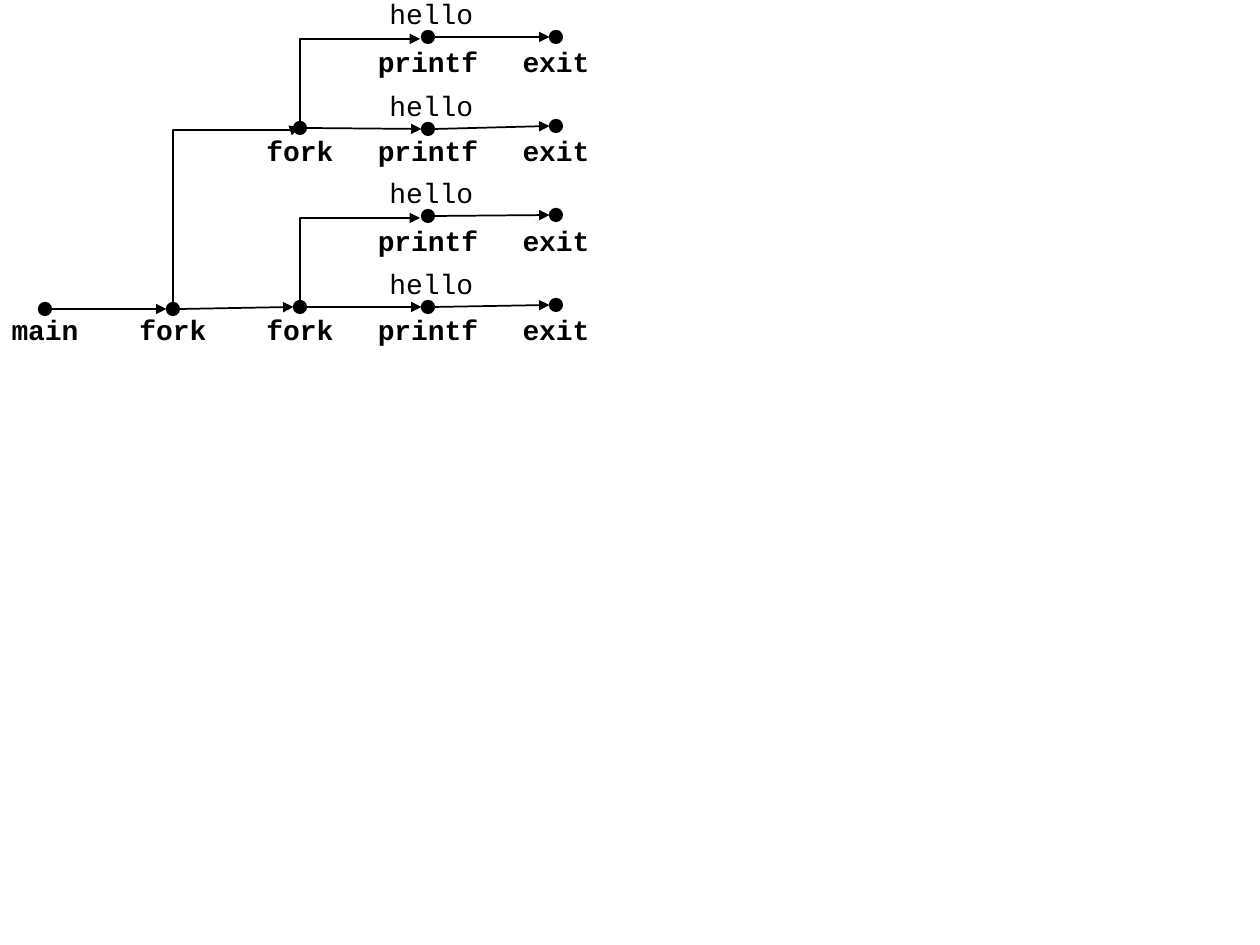
"""Build a process graph of two successive forks, each process printing hello."""
from lxml import etree
from pptx import Presentation
from pptx import util as u
from pptx.dml.color import RGBColor
from pptx.enum import shapes, text
from pptx.oxml.ns import qn

SCALE = 914400 / 126
COLOURS = {"ink": "000000"}
FONT = "Courier New"
COLUMN_X = [45, 173, 300, 428, 556]
DOT = 13
LABEL_HEIGHT = 47
LABEL_WIDTH = {"main": 93, "fork": 92, "printf": 131, "exit": 131}

PROCESSES = [
    {"label_top": 38, "hello_top": -10, "first": 3,
     "calls": [("printf", 37), ("exit", 37)]},
    {"label_top": 127, "hello_top": 82, "first": 2,
     "calls": [("fork", 128), ("printf", 129), ("exit", 126)]},
    {"label_top": 217, "hello_top": 169, "first": 3,
     "calls": [("printf", 216), ("exit", 215)]},
    {"label_top": 306, "hello_top": 260, "first": 0,
     "calls": [("main", 309), ("fork", 309), ("fork", 307),
               ("printf", 307), ("exit", 305)]},
]
CHILDREN = [
    ("bentConnector2", (300, 306), (420, 218), None),
    ("bentConnector3", (173, 307), (300, 127), 98500),
    ("bentConnector2", (300, 127), (420, 39), None),
]


def px(length):
    return u.Emu(round(length * SCALE))


def ink():
    return RGBColor.from_string(COLOURS["ink"])


def add_text(slide, words, left, top, width, bold=False, align=None, wrap=True):
    box = slide.shapes.add_textbox(px(left), px(top), px(width), px(LABEL_HEIGHT))
    box.text_frame.word_wrap = wrap
    paragraph = box.text_frame.paragraphs[0]
    paragraph.alignment = align
    run = paragraph.add_run()
    run.text = words
    run.font.name, run.font.size, run.font.bold = FONT, u.Pt(16), bold
    run.font.color.rgb = ink()


def add_dot(slide, x, y):
    dot = slide.shapes.add_shape(shapes.MSO_SHAPE.OVAL, px(x - DOT / 2),
                                 px(y - DOT / 2), px(DOT), px(DOT))
    dot.shadow.inherit = False
    dot.fill.solid()
    dot.fill.fore_color.rgb = ink()
    dot.line.color.rgb = ink()
    dot.line.width = u.Pt(0.75)


def add_arrow(slide, kind, start, end):
    arrow = slide.shapes.add_connector(kind, *map(px, start + end))
    arrow.line.color.rgb = ink()
    arrow.line.width = u.Pt(1)
    properties = arrow._element.spPr
    etree.SubElement(properties.find(qn("a:ln")), qn("a:tailEnd"), type="triangle")
    etree.SubElement(properties, qn("a:effectLst"))
    return arrow


def add_child_arrow(slide, preset, start, end, bend):
    """Turn an elbow a quarter so that it rises first, then runs right."""
    middle_x, middle_y = (start[0] + end[0]) / 2, (start[1] + end[1]) / 2
    half_w, half_h = (start[1] - end[1]) / 2, (end[0] - start[0]) / 2
    arrow = add_arrow(slide, shapes.MSO_CONNECTOR.ELBOW,
                      (middle_x - half_w, middle_y - half_h),
                      (middle_x + half_w, middle_y + half_h))
    properties = arrow._element.spPr
    frame = properties.find(qn("a:xfrm"))
    for key, value in (("rot", "5400000"), ("flipH", "1"), ("flipV", "1")):
        frame.set(key, value)
    geometry = properties.find(qn("a:prstGeom"))
    geometry.set("prst", preset)
    if bend:
        guides = geometry.find(qn("a:avLst"))
        etree.SubElement(guides, qn("a:gd"), name="adj1", fmla=f"val {bend}")


def add_process(slide, process):
    calls = process["calls"]
    columns = COLUMN_X[process["first"]:]
    points = [(x, y) for x, (_, y) in zip(columns, calls)]
    for (x, y), (next_x, next_y) in zip(points, points[1:]):
        add_arrow(slide, shapes.MSO_CONNECTOR.STRAIGHT,
                  (x + DOT / 2, y), (next_x - DOT / 2, next_y))
    for (x, y), (call, _) in zip(points, calls):
        add_dot(slide, x, y)
        width = LABEL_WIDTH[call]
        add_text(slide, call, x + 4 - width / 2 - 4, process["label_top"], width,
                 bold=True, align=text.PP_ALIGN.CENTER, wrap=call != "main")
    add_text(slide, "hello", 377, process["hello_top"], 110)


def main():
    deck = Presentation()
    deck.slide_width, deck.slide_height = px(1260), px(945)
    slide = deck.slides.add_slide(deck.slide_layouts[6])
    for child in CHILDREN:
        add_child_arrow(slide, *child)
    for process in PROCESSES:
        add_process(slide, process)
    deck.save("out.pptx")


if __name__ == "__main__":
    main()
